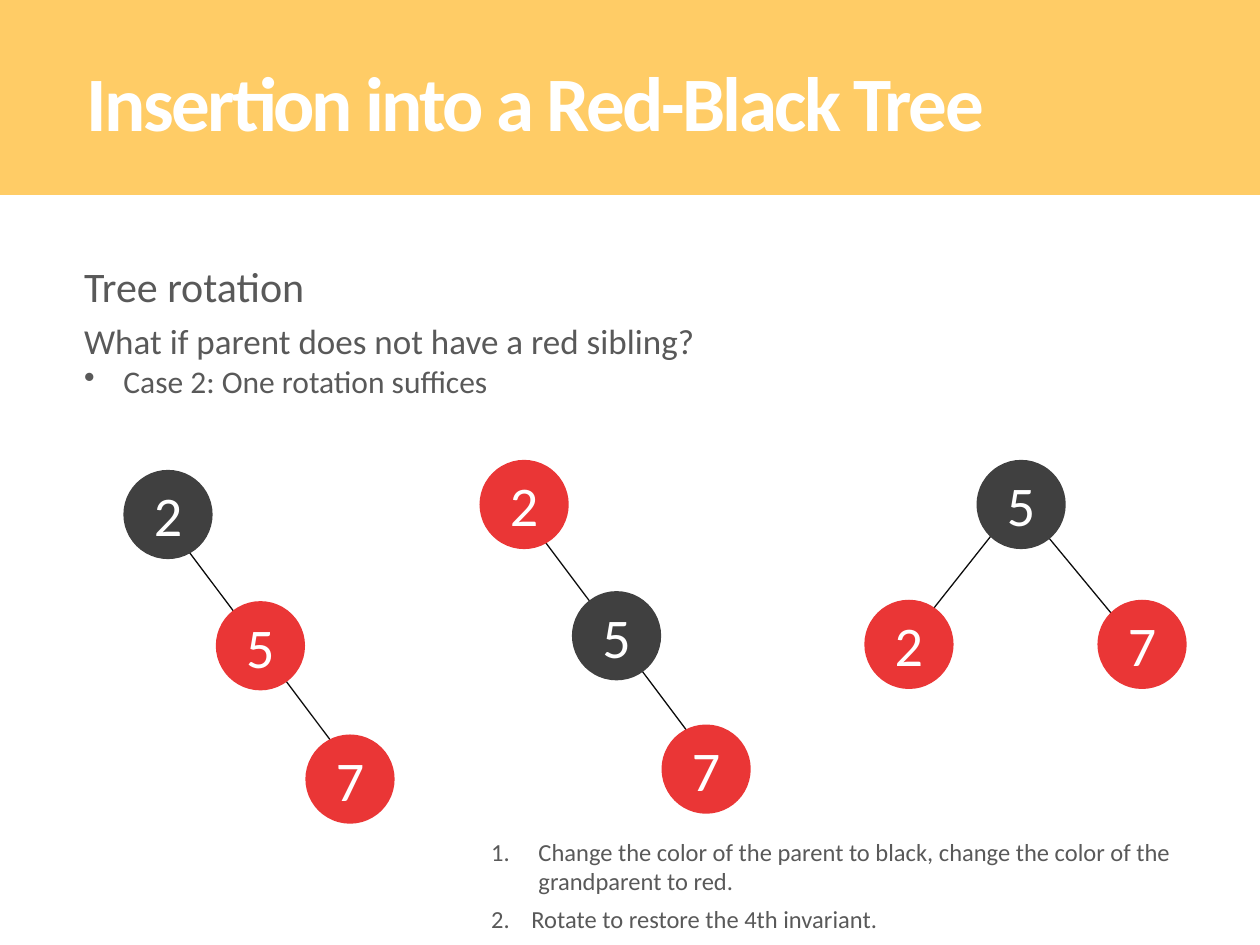
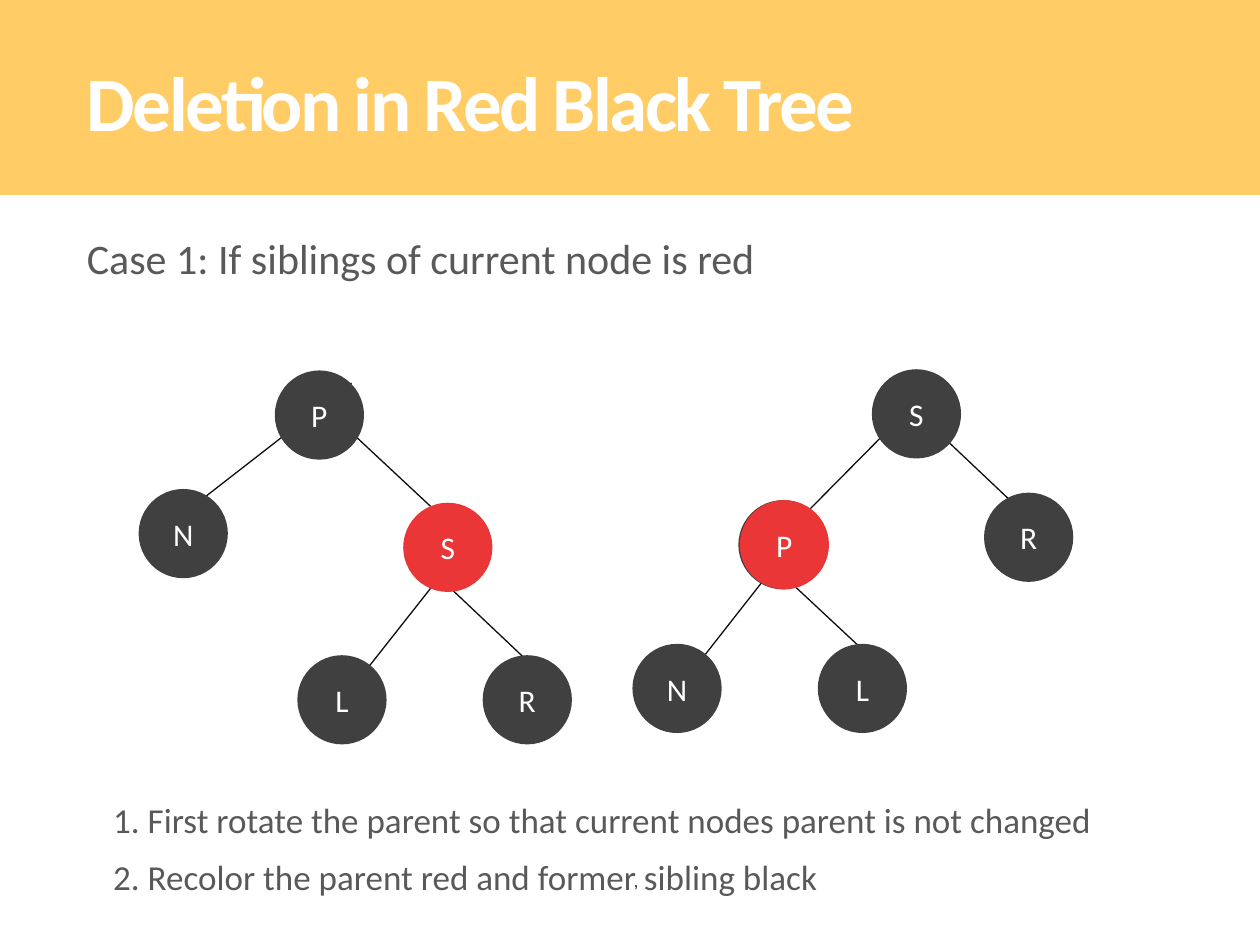
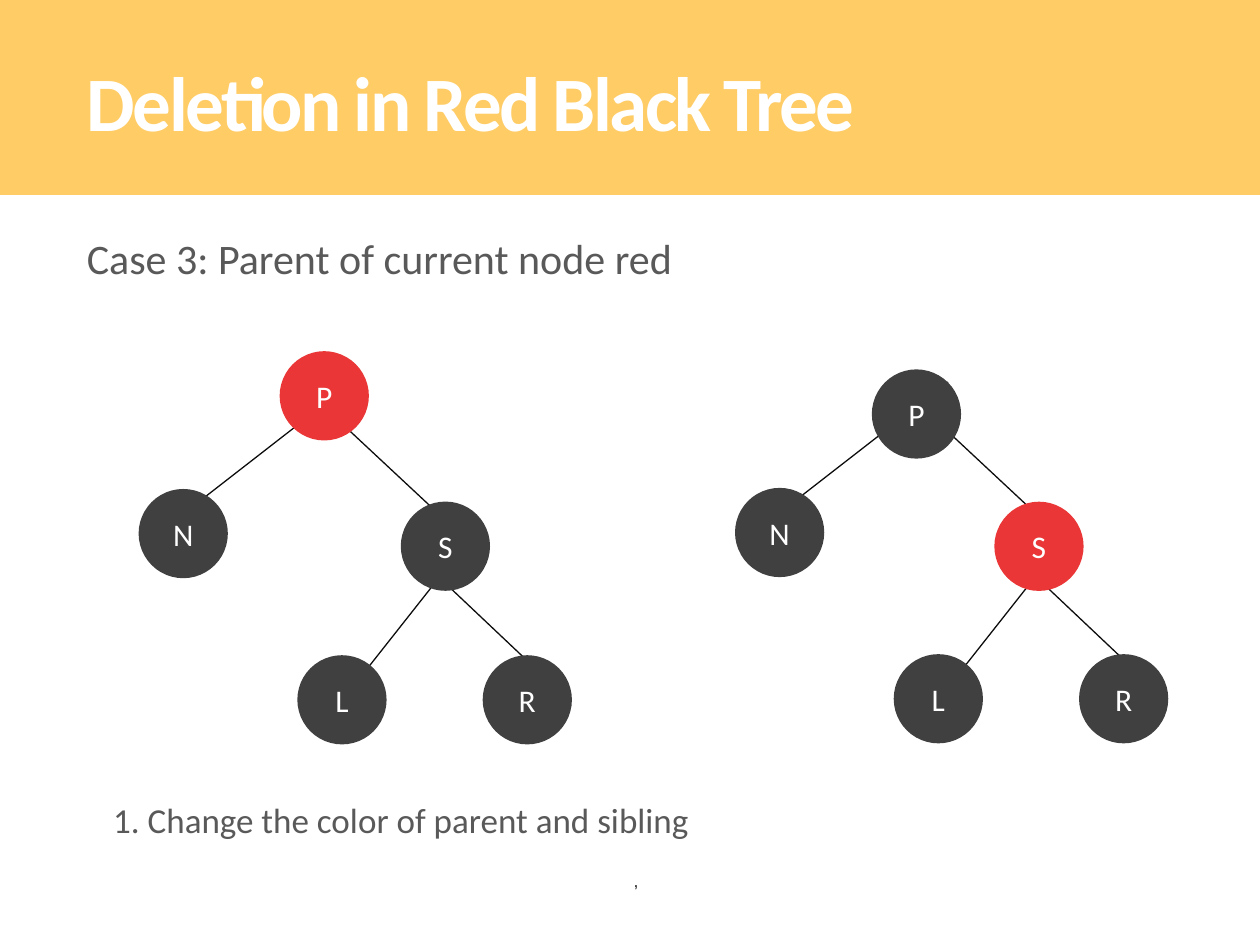
from lxml import etree
from pptx import Presentation
from pptx.dml.color import RGBColor
from pptx.enum.shapes import MSO_CONNECTOR, MSO_SHAPE
from pptx.enum.text import MSO_ANCHOR, MSO_AUTO_SIZE, PP_ALIGN
from pptx.oxml.ns import qn
from pptx.util import Pt

# Shared style
FONT = "Calibri"
BAND = "FFCC66"
WHITE = "FFFFFF"
GRAY = "595959"
BLACK_NODE = "404040"
RED_NODE = "EA3636"
EDGE = "0D0D0D"
COMMA = "252525"
SLIDE_WIDTH, SLIDE_HEIGHT = 720, 540
BAND_HEIGHT = 111.4
NODE_SIZE = 51

# Edges of each tree form, relative to its box: (x1, y1, x2, y2)
CHAIN_EDGES = [(18, 20.9, 137.5, 180)]
BALANCED_EDGES = [(25.9, 102.2, 85.7, 26.6), (90, 25.9, 159.1, 109.4)]
RIGHT_HEAVY_EDGES = [
    (168.5, 115.7, 221.8, 166.1),
    (185, 102, 106.6, 201.4),
    (114.5, 29.3, 168.5, 79.7),
    (121.7, 7.7, 18, 88.3),
]
LEFT_HEAVY_EDGES = [
    (78.2, 110.1, 131.5, 159.8),
    (94.8, 95.7, 16.3, 195.8),
    (168.2, 29.5, 221.5, 79.9),
    (164.6, 16.5, 88.3, 93.6),
]


def color(hex_string):
    return RGBColor.from_string(hex_string)


def format_paragraph(paragraph, size, font_color, font=FONT):
    for run in paragraph.runs:
        run.font.name = font
        run.font.size = Pt(size)
        run.font.color.rgb = color(font_color)


def set_marker(paragraph, indent, tag, **attributes):
    properties = paragraph._p.get_or_add_pPr()
    properties.set("marL", str(Pt(indent)))
    properties.set("indent", str(-Pt(indent)))
    etree.SubElement(properties, qn(tag), attributes)


def add_text(slide, left, top, width, height, lines):
    """Add a text box; each line is (text, size)."""
    text_box = slide.shapes.add_textbox(Pt(left), Pt(top), Pt(width), Pt(height))
    text_frame = text_box.text_frame
    text_frame.word_wrap = True
    text_frame.text = "\n".join(text for text, size in lines)
    for paragraph, (text, size) in zip(text_frame.paragraphs, lines):
        format_paragraph(paragraph, size, GRAY)
    return text_frame


def add_titled_slide(presentation, title_text):
    slide = presentation.slides.add_slide(presentation.slide_layouts[5])

    # Band, placed behind the title
    band = slide.shapes.add_shape(
        MSO_SHAPE.RECTANGLE, 0, 0, Pt(SLIDE_WIDTH), Pt(BAND_HEIGHT))
    band.shadow.inherit = False
    band.fill.solid()
    band.fill.fore_color.rgb = color(BAND)
    band.line.fill.background()
    band._element.getparent().insert(2, band._element)

    # Title
    title = slide.shapes.title
    title.left, title.top, title.width, title.height = (
        Pt(42.5), Pt(26.5), Pt(623.5), Pt(62))
    text_frame = title.text_frame
    text_frame.text = title_text
    text_frame.auto_size = MSO_AUTO_SIZE.NONE
    text_frame.vertical_anchor = MSO_ANCHOR.MIDDLE
    paragraph = text_frame.paragraphs[0]
    paragraph.alignment = PP_ALIGN.LEFT
    format_paragraph(paragraph, 44, WHITE)
    run = paragraph.runs[0]
    run.font.bold = True
    run.font._element.set("spc", "-150")
    return slide


def add_node(slide, left, top, label, fill, size):
    node = slide.shapes.add_shape(
        MSO_SHAPE.OVAL, Pt(left), Pt(top), Pt(NODE_SIZE), Pt(NODE_SIZE))
    node.shadow.inherit = False
    node.fill.solid()
    node.fill.fore_color.rgb = color(fill)
    node.line.fill.background()
    text_frame = node.text_frame
    text_frame.text = label
    text_frame.vertical_anchor = MSO_ANCHOR.MIDDLE
    paragraph = text_frame.paragraphs[0]
    paragraph.alignment = PP_ALIGN.CENTER
    format_paragraph(paragraph, size, WHITE)


def add_tree(slide, left, top, edges, nodes, size=18):
    """Draw edges, then nodes given as (label, x, y, fill)."""
    for x1, y1, x2, y2 in edges:
        edge = slide.shapes.add_connector(
            MSO_CONNECTOR.STRAIGHT,
            Pt(left + x1), Pt(top + y1), Pt(left + x2), Pt(top + y2))
        edge.line.color.rgb = color(EDGE)
        edge.line.width = Pt(0.75)
        etree.SubElement(edge._element.spPr, qn("a:effectLst"))
    for label, x, y, fill in nodes:
        add_node(slide, left + x, top + y, label, fill, size)


def add_chain(slide, left, top, fills):
    positions = [(0, 0), (52.8, 75), (104, 151.2)]
    nodes = [(label, x, y, fill)
             for label, (x, y), fill in zip("257", positions, fills)]
    add_tree(slide, left, top, CHAIN_EDGES, nodes, 32)


def add_right_heavy_tree(slide, left, top, parent, sibling):
    """Parent and sibling are (x, y, fill); the other nodes stay put."""
    nodes = [
        ("P", *parent),
        ("N", 0, 68.2, BLACK_NODE),
        ("L", 90.7, 163.2, BLACK_NODE),
        ("R", 196.6, 163.2, BLACK_NODE),
        ("S", *sibling),
    ]
    add_tree(slide, left, top, RIGHT_HEAVY_EDGES, nodes)


def add_insertion_slide(presentation):
    slide = add_titled_slide(presentation, "Insertion into a Red-Black Tree")
    add_text(slide, 41, 145.5, 601, 36, [("Tree rotation", 24)])
    question = add_text(slide, 41, 179.3, 601, 53, [
        ("What if parent does not have a red sibling?", 20),
        ("Case 2: One rotation suffices", 18),
    ])
    set_marker(question.paragraphs[1], 22.5, "a:buChar", char="•")

    # Before, after recolouring, after rotation
    add_chain(slide, 70.5, 268.5, [BLACK_NODE, RED_NODE, RED_NODE])
    add_chain(slide, 274, 262.8, [RED_NODE, BLACK_NODE, RED_NODE])
    add_tree(slide, 493.9, 262.8, BALANCED_EDGES, [
        ("2", 0, 79.9, RED_NODE),
        ("7", 133.2, 79.9, RED_NODE),
        ("5", 64.1, 0, BLACK_NODE),
    ], 32)

    # Numbered steps
    steps = [
        ("Change the color of the parent to black, "
         "change the color of the grandparent to red.", 474.5, 41, 27),
        ("Rotate to restore the 4th invariant.", 512.8, 24, 23),
    ]
    for number, (text, top, height, indent) in enumerate(steps, 1):
        step = add_text(slide, 273.6, top, 418.3, height, [(text, 14)])
        set_marker(step.paragraphs[0], indent, "a:buAutoNum",
                   type="arabicPeriod", startAt=str(number))


def add_deletion_slide(presentation, case, steps):
    slide = add_titled_slide(presentation, "Deletion in Red Black Tree")
    add_text(slide, 42.5, 129.6, 647, 36, [(case, 24)])
    for index, step in enumerate(steps):
        add_text(slide, 57.6, 452.9 + 32.4 * index, 647, 31.5, [(step, 20)])

    # Small comma near the foot
    comma = slide.shapes.add_textbox(Pt(362), Pt(497), Pt(10), Pt(12))
    text_frame = comma.text_frame
    text_frame.margin_left = text_frame.margin_right = 0
    text_frame.margin_top = text_frame.margin_bottom = 0
    text_frame.text = ","
    format_paragraph(text_frame.paragraphs[0], 10, COMMA, "Arial")
    return slide


def add_red_sibling_slide(presentation):
    slide = add_deletion_slide(
        presentation, "Case 1: If siblings of current node is red", [
            "1. First rotate the parent so that current nodes parent is not changed",
            "2. Recolor the parent red and former sibling black",
        ])
    add_right_heavy_tree(slide, 79.2, 211.2,
                         (77.8, 0.5, BLACK_NODE), (151.2, 76.1, RED_NODE))
    add_tree(slide, 361, 211, LEFT_HEAVY_EDGES, [
        ("N", 0.4, 156.9, BLACK_NODE),
        ("L", 106.3, 156.9, BLACK_NODE),
        ("R", 201.3, 70.5, BLACK_NODE),
        ("P", 60.9, 74.8, BLACK_NODE),
        ("P", 61.7, 74.8, RED_NODE),
        ("S", 137.2, 0, BLACK_NODE),
    ])


def add_red_parent_slide(presentation):
    slide = add_deletion_slide(
        presentation, "Case 3: Parent of current node red",
        ["1. Change the color of parent and sibling"])
    add_right_heavy_tree(slide, 79.2, 211.2,
                         (80.6, -10.5, RED_NODE), (149.8, 75.4, BLACK_NODE))
    add_right_heavy_tree(slide, 420, 210.6,
                         (78.2, 0.5, BLACK_NODE), (148.2, 76.1, RED_NODE))


def main():
    presentation = Presentation()
    presentation.slide_width = Pt(SLIDE_WIDTH)
    presentation.slide_height = Pt(SLIDE_HEIGHT)
    add_insertion_slide(presentation)
    add_red_sibling_slide(presentation)
    add_red_parent_slide(presentation)
    presentation.save("out.pptx")


if __name__ == "__main__":
    main()
